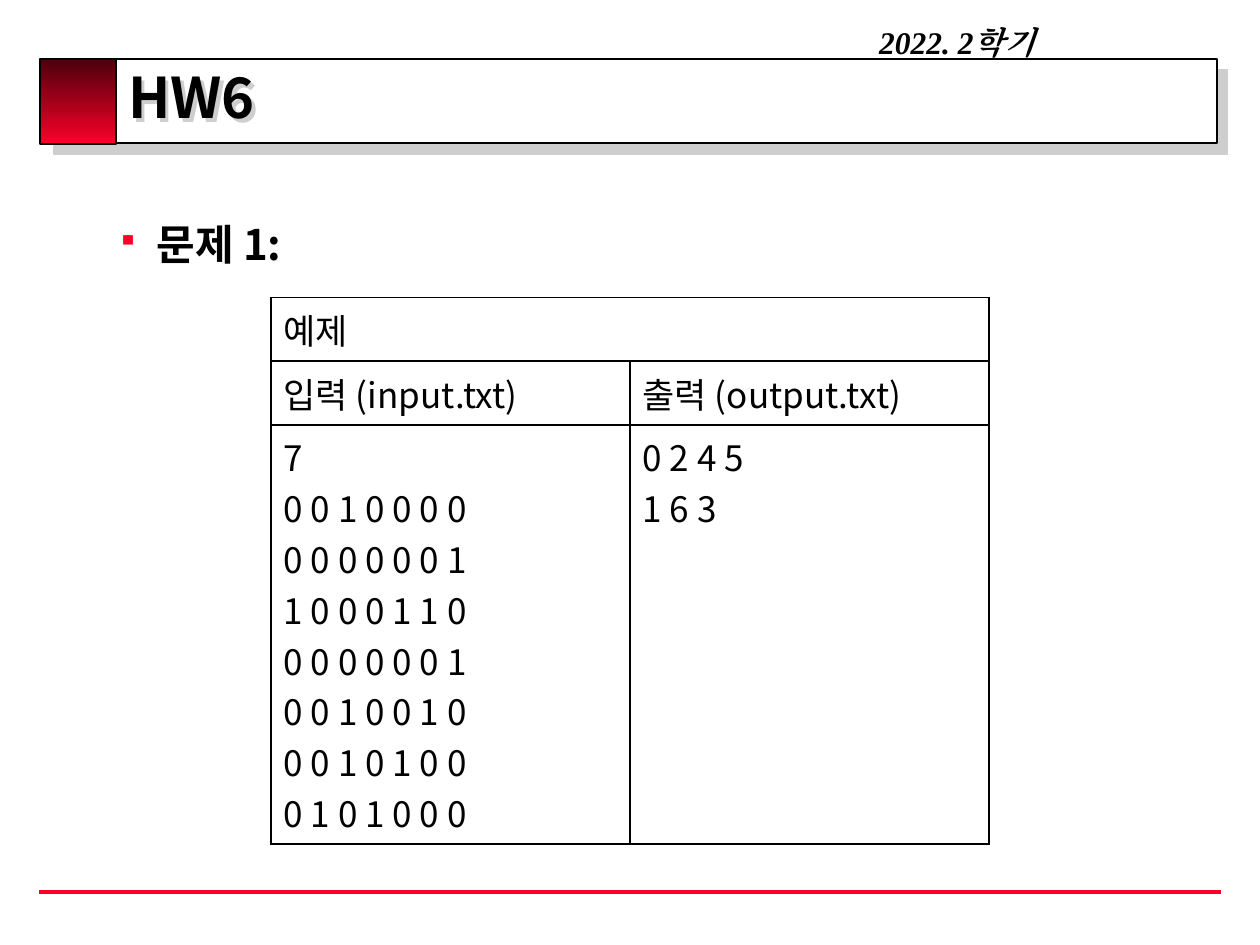
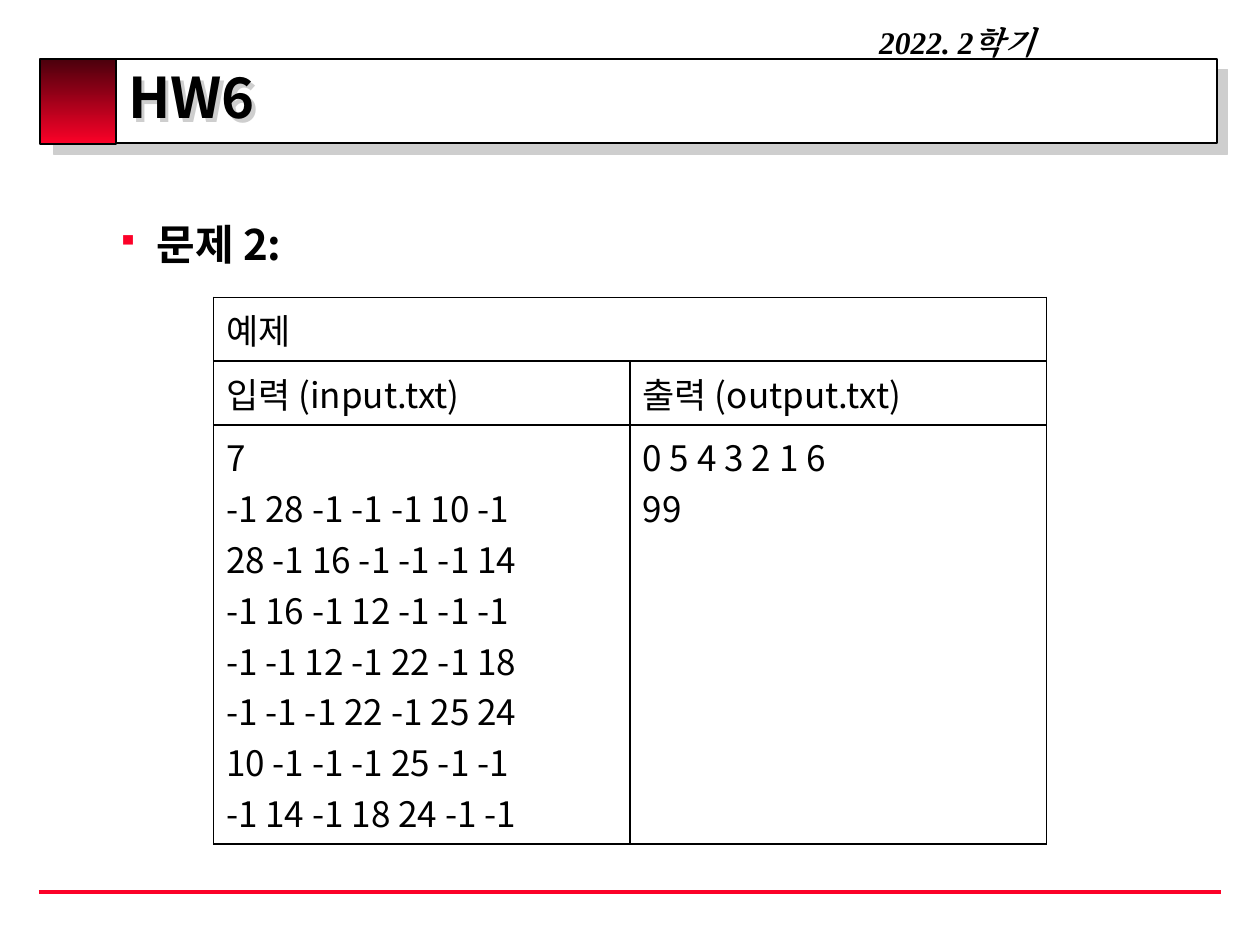
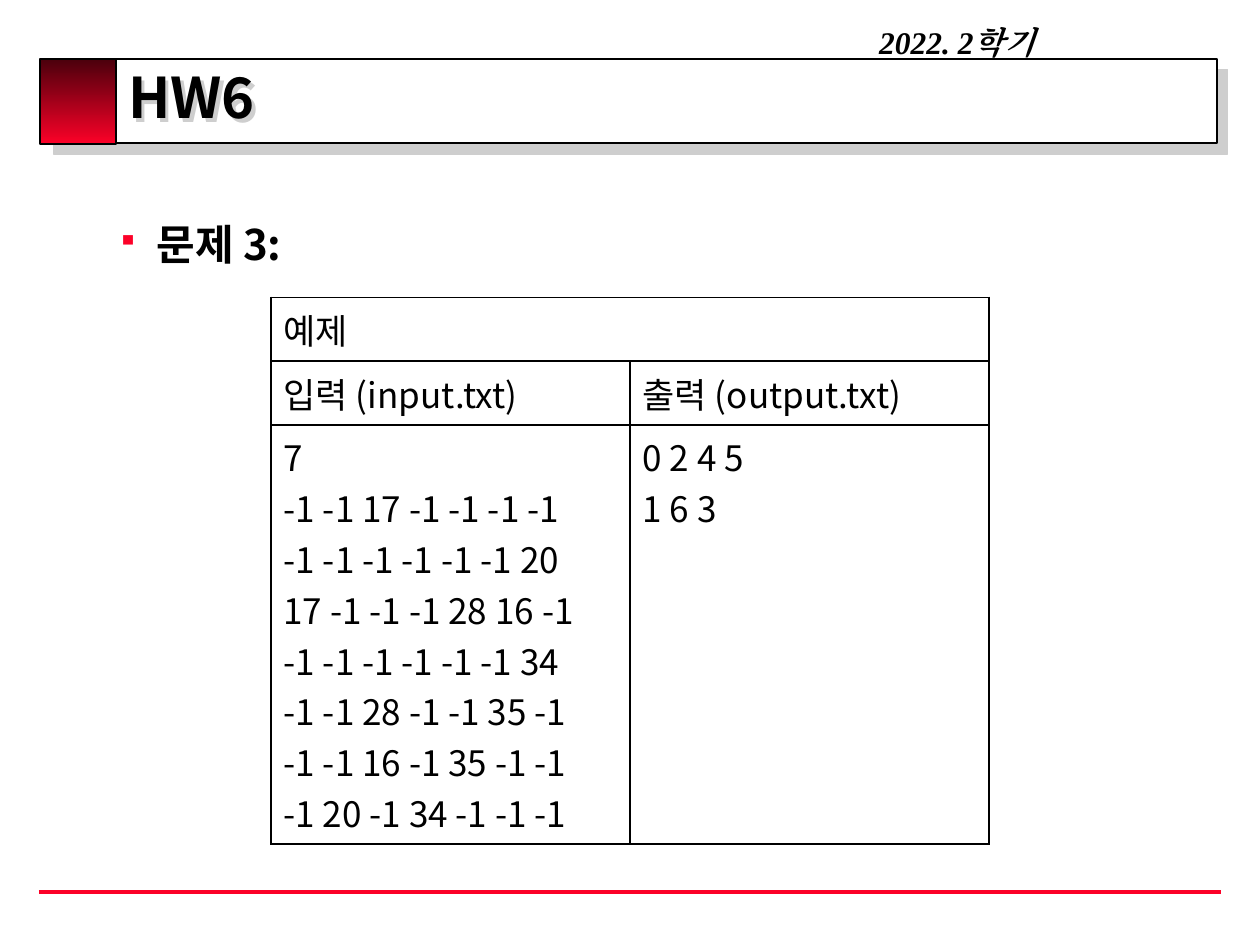
from lxml.etree import SubElement
from pptx import Presentation
from pptx.dml.color import RGBColor
from pptx.enum.shapes import MSO_CONNECTOR as CONNECTOR, MSO_SHAPE as SHAPE
from pptx.enum.text import MSO_ANCHOR as ANCHOR, PP_ALIGN as ALIGN
from pptx.oxml.ns import qn
from pptx.util import Pt

BLACK = RGBColor(0x00, 0x00, 0x00)
WHITE = RGBColor(0xFF, 0xFF, 0xFF)
RED = RGBColor(0xFC, 0x01, 0x28)
DARK_RED = RGBColor(0x4B, 0x00, 0x0C)
SHADOW_GREY = RGBColor(0xCE, 0xCE, 0xCE)

SANS = "Noto Sans CJK KR"
SERIF = "Times New Roman"

SLIDE_WIDTH, SLIDE_HEIGHT = 720, 540
TABLE_TOP = 170
ROW_HEIGHTS = (36.4, 36.4, 239.4)

PROBLEMS = (
    ("문제 1:", 410.4,
     ("7", "0 0 1 0 0 0 0", "0 0 0 0 0 0 1", "1 0 0 0 1 1 0",
      "0 0 0 0 0 0 1", "0 0 1 0 0 1 0", "0 0 1 0 1 0 0", "0 1 0 1 0 0 0"),
     ("0 2 4 5", "1 6 3")),
    ("문제 2:", 476,
     ("7", "-1 28 -1 -1 -1 10 -1", "28 -1 16 -1 -1 -1 14",
      "-1 16 -1 12 -1 -1 -1", "-1 -1 12 -1 22 -1 18",
      "-1 -1 -1 22 -1 25 24", "10 -1 -1 -1 25 -1 -1",
      "-1 14 -1 18 24 -1 -1"),
     ("0 5 4 3 2 1 6", "99")),
    ("문제 3:", 410.4,
     ("7", "-1 -1 17 -1 -1 -1 -1", "-1 -1 -1 -1 -1 -1 20",
      "17 -1 -1 -1 28 16 -1", "-1 -1 -1 -1 -1 -1 34",
      "-1 -1 28 -1 -1 35 -1", "-1 -1 16 -1 35 -1 -1",
      "-1 20 -1 34 -1 -1 -1"),
     ("0 2 4 5", "1 6 3")),
)


def style_paragraph(paragraph, size, bold=True, italic=False, face=SANS):
    """Set one black font on a paragraph, for Latin and Korean alike."""
    font = paragraph.font
    font.name, font.size = face, Pt(size)
    font.bold, font.italic = bold, italic
    font.color.rgb = BLACK
    SubElement(font._element, qn("a:ea"), typeface=face)


def add_shadow(shape, distance):
    """Cast a hard grey shadow to the lower right."""
    shape.shadow.inherit = False
    effects = shape._element.spPr.find(qn("a:effectLst"))
    shadow = SubElement(effects, qn("a:outerShdw"), dist=str(Pt(distance)),
                        dir="2700000", algn="ctr", rotWithShape="0")
    SubElement(shadow, qn("a:srgbClr"), val=str(SHADOW_GREY))


def add_box(slide, left, top, width, height):
    """Add a rectangle with a thin black outline and no shadow."""
    box = slide.shapes.add_shape(SHAPE.RECTANGLE, Pt(left), Pt(top),
                                 Pt(width), Pt(height))
    box.shadow.inherit = False
    box.line.color.rgb = BLACK
    box.line.width = Pt(1)
    return box


def add_text(slide, text, left, top, width, height):
    """Add a wrapping text box and return it with its paragraph."""
    box = slide.shapes.add_textbox(Pt(left), Pt(top), Pt(width), Pt(height))
    box.text_frame.word_wrap = True
    paragraph = box.text_frame.paragraphs[0]
    paragraph.text = text
    return box, paragraph


def add_frame(slide):
    """Draw the title band, the red block, the term and the footer rule."""
    band = add_box(slide, 24.5, 33.8, 671, 48.2)
    band.fill.solid()
    band.fill.fore_color.rgb = WHITE
    add_shadow(band, 8.5)

    block = add_box(slide, 23, 33.8, 43.2, 48.6)
    block.fill.gradient()
    block.fill.gradient_angle = 270
    for stop, color in zip(block.fill.gradient_stops, (DARK_RED, RED)):
        stop.color.rgb = color

    rule = slide.shapes.add_connector(CONNECTOR.STRAIGHT, Pt(22.3), Pt(509.8),
                                      Pt(697.7), Pt(509.8))
    rule.line.color.rgb = RED
    rule.line.width = Pt(2.25)
    SubElement(rule._element.spPr, qn("a:effectLst"))

    _, term = add_text(slide, "2022. 2학기", 393.8, 9.4, 306, 28.8)
    term.alignment = ALIGN.CENTER
    style_paragraph(term, 18, italic=True, face=SERIF)


def add_title(slide, text):
    """Write the slide title over the band."""
    box, title = add_text(slide, text, 66.2, 31.7, 631.4, 54)
    box.text_frame.vertical_anchor = ANCHOR.MIDDLE
    title.line_spacing = 0.8
    title.space_before = Pt(2)
    style_paragraph(title, 32)
    add_shadow(box, 2.83)


def add_problem_heading(slide, text):
    """Write the problem name behind a small red square bullet."""
    box, heading = add_text(slide, text, 59.8, 88.6, 631.4, 414)
    box.text_frame.margin_top = Pt(36)
    style_paragraph(heading, 24)
    properties = heading._p.get_or_add_pPr()
    properties.set("marL", str(Pt(22.5)))
    properties.set("indent", str(Pt(-22.5)))
    bullet_color = SubElement(properties, qn("a:buClr"))
    SubElement(bullet_color, qn("a:srgbClr"), val=str(RED))
    SubElement(properties, qn("a:buSzPct"), val="70000")
    SubElement(properties, qn("a:buChar"), char="▪")
    properties.append(properties.find(qn("a:defRPr")))


def style_cell(cell):
    """Give a cell black borders and no fill."""
    properties = cell._tc.get_or_add_tcPr()
    for side in ("lnL", "lnR", "lnT", "lnB"):
        border = SubElement(properties, qn(f"a:{side}"), w=str(Pt(1)))
        ink = SubElement(border, qn("a:solidFill"))
        SubElement(ink, qn("a:srgbClr"), val=str(BLACK))
    cell.fill.background()


def add_example_table(slide, width, input_lines, output_lines):
    """Add the centred table of sample input and output."""
    rows = ((("예제",), ()),
            (("입력 (input.txt)",), ("출력 (output.txt)",)),
            (input_lines, output_lines))
    left = (SLIDE_WIDTH - width) / 2
    table = slide.shapes.add_table(len(rows), 2, Pt(left), Pt(TABLE_TOP),
                                   Pt(width), Pt(sum(ROW_HEIGHTS))).table
    table.first_row = table.horz_banding = False
    for row, height in zip(table.rows, ROW_HEIGHTS):
        row.height = Pt(height)
    for r, row in enumerate(rows):
        for c, lines in enumerate(row):
            cell = table.cell(r, c)
            style_cell(cell)
            cell.text = "\n".join(lines)
            for paragraph in cell.text_frame.paragraphs:
                style_paragraph(paragraph, 20, bold=False)
    table.cell(0, 0).merge(table.cell(0, 1))


def main():
    """Build one slide for each problem and save the deck."""
    deck = Presentation()
    deck.slide_width, deck.slide_height = Pt(SLIDE_WIDTH), Pt(SLIDE_HEIGHT)
    for heading, width, input_lines, output_lines in PROBLEMS:
        slide = deck.slides.add_slide(deck.slide_layouts[6])
        add_frame(slide)
        add_title(slide, "HW6")
        add_problem_heading(slide, heading)
        add_example_table(slide, width, input_lines, output_lines)
    deck.save("out.pptx")


main()
